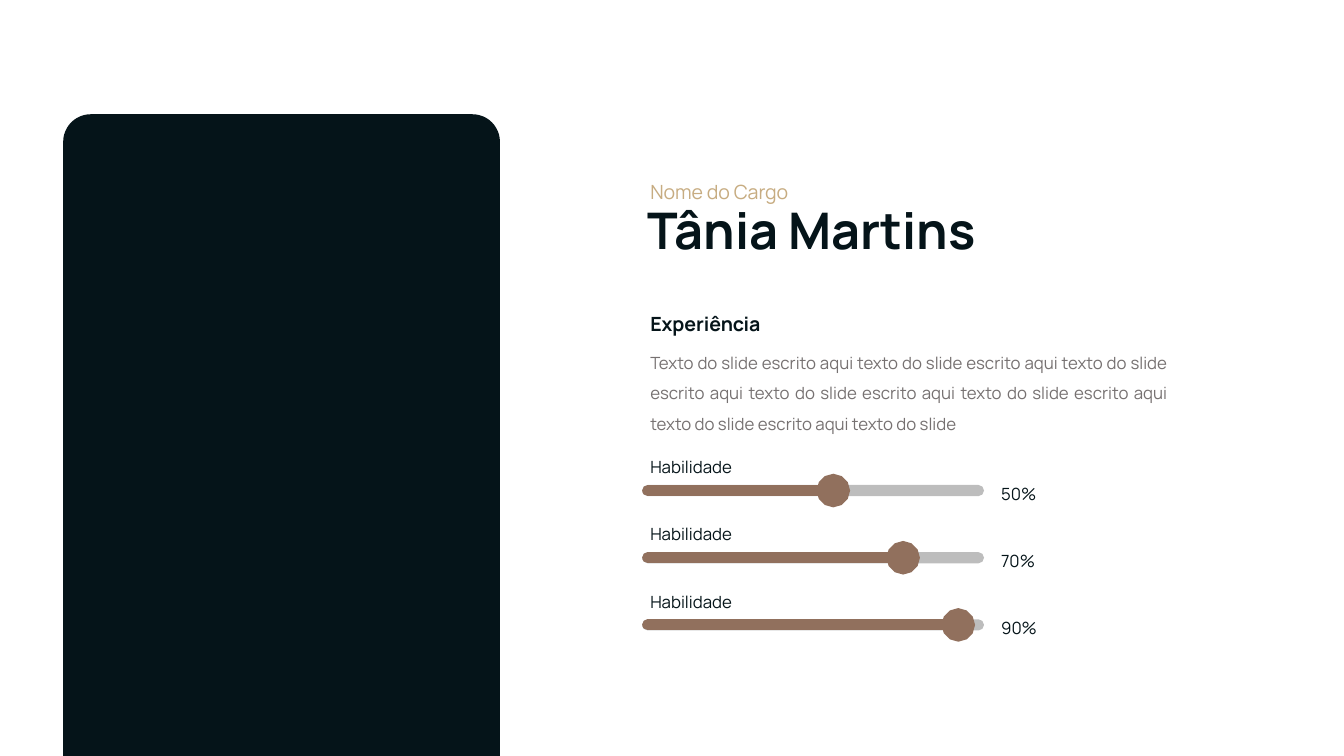
from dataclasses import dataclass

import pptx
import pptx.dml.color
import pptx.enum.shapes
import pptx.enum.text
import pptx.oxml
import pptx.oxml.ns
import pptx.util
from pptx.util import Inches

FONT = "Manrope"
DARK = "051419"
GOLD = "C7AC81"
GRAY = "767171"
BROWN = "91705D"
BLACK = "000000"

SLIDE_WIDTH = 10
SLIDE_HEIGHT = SLIDE_WIDTH * 9 / 16
CARD_TOP = 0.85
TEXT_LEFT = 4.74
TRACK_LEFT, TRACK_RIGHT = 4.82, 7.28
FIRST_SKILL_TOP, SKILL_STEP = 3.35, 0.5


@dataclass
class TextStyle:
    size: float
    color: str = DARK
    bold: bool = False
    line_spacing: float = 1.0
    alignment: pptx.enum.text.PP_ALIGN = pptx.enum.text.PP_ALIGN.LEFT


@dataclass
class Skill:
    name: str
    percent: str
    knob_x: float


SMALL = TextStyle(9)
SKILLS = [
    Skill("Habilidade", "50%", 6.2),
    Skill("Habilidade", "70%", 6.72),
    Skill("Habilidade", "90%", 7.13),
]
BODY_TEXT = ("Texto do slide escrito aqui " + "texto do slide escrito aqui " * 5
             + "texto do slide")


def rgb(color: str) -> pptx.dml.color.RGBColor:
    return pptx.dml.color.RGBColor.from_string(color)


def write_text(shape, text: str, style: TextStyle) -> None:
    frame = shape.text_frame
    frame.text = text
    frame.word_wrap = True
    frame.auto_size = pptx.enum.text.MSO_AUTO_SIZE.SHAPE_TO_FIT_TEXT
    frame.vertical_anchor = pptx.enum.text.MSO_ANCHOR.TOP
    frame.margin_left = frame.margin_right = Inches(0.1)
    frame.margin_top = frame.margin_bottom = Inches(0.05)
    paragraph = frame.paragraphs[0]
    paragraph.alignment = style.alignment
    paragraph.line_spacing = style.line_spacing
    paragraph.space_before = pptx.util.Pt(0)
    paragraph.font.name = FONT
    paragraph.font.size = pptx.util.Pt(style.size)
    paragraph.font.bold = style.bold
    paragraph.font.color.rgb = rgb(style.color)


def add_text(slide, left: float, top: float, width: float, height: float,
             text: str, style: TextStyle) -> None:
    box = slide.shapes.add_textbox(Inches(left), Inches(top), Inches(width), Inches(height))
    write_text(box, text, style)


def add_bar(slide, right: float, y: float, color: str):
    """Draw a thick horizontal line with round caps and return its a:ln element."""
    bar = slide.shapes.add_connector(
        pptx.enum.shapes.MSO_CONNECTOR.STRAIGHT,
        Inches(TRACK_LEFT), Inches(y), Inches(right), Inches(y))
    bar.line.width = pptx.util.Pt(6)
    bar.line.color.rgb = rgb(color)
    properties = bar._element.spPr
    line = properties.find(pptx.oxml.ns.qn("a:ln"))
    line.set("cap", "rnd")
    properties.append(pptx.oxml.parse_xml(
        f"<a:effectLst {pptx.oxml.ns.nsdecls('a')}/>"))
    return line


def add_skill(slide, skill: Skill, top: float) -> None:
    add_text(slide, TEXT_LEFT, top, 1.37, 0.25, skill.name, SMALL)
    add_text(slide, 7.35, top + 0.2, 0.75, 0.25, skill.percent, SMALL)
    # Translucent track
    track = add_bar(slide, TRACK_RIGHT, top + 0.3, BLACK)
    color = track.find(".//" + pptx.oxml.ns.qn("a:srgbClr"))
    color.append(pptx.oxml.parse_xml(
        f"<a:alpha {pptx.oxml.ns.nsdecls('a')} val='25000'/>"))
    # Filled part, ending in a round knob
    level = add_bar(slide, skill.knob_x, top + 0.3, BROWN)
    level.append(pptx.oxml.parse_xml(
        f"<a:tailEnd {pptx.oxml.ns.nsdecls('a')} type='oval'/>"))


def main() -> None:
    presentation = pptx.Presentation()
    presentation.slide_width = Inches(SLIDE_WIDTH)
    presentation.slide_height = Inches(SLIDE_HEIGHT)
    slide = presentation.slides.add_slide(presentation.slide_layouts[5])

    # Dark card on the left, down to the slide's bottom edge
    card = slide.shapes.add_shape(
        pptx.enum.shapes.MSO_SHAPE.ROUND_2_SAME_RECTANGLE,
        Inches(0.47), Inches(CARD_TOP), Inches(3.25), Inches(SLIDE_HEIGHT - CARD_TOP))
    card.adjustments[0] = 0.063
    card.adjustments[1] = 0
    card.shadow.inherit = False
    card.fill.solid()
    card.fill.fore_color.rgb = rgb(DARK)
    card.line.fill.background()

    # Name and position
    title = slide.shapes.title
    title.left, title.top = Inches(4.72), Inches(1.43)
    title.width, title.height = Inches(3.57), Inches(0.56)
    write_text(title, "Tânia Martins", TextStyle(27, bold=True))
    add_text(slide, TEXT_LEFT, 1.2, 1.38, 0.34, "Nome do Cargo",
             TextStyle(10.5, GOLD, line_spacing=1.5))

    # Experience
    add_text(slide, TEXT_LEFT, 2.27, 1.77, 0.28, "Experiência", TextStyle(10.5, bold=True))
    add_text(slide, TEXT_LEFT, 2.5, 4.04, 0.76, BODY_TEXT,
             TextStyle(9, GRAY, line_spacing=1.5,
                       alignment=pptx.enum.text.PP_ALIGN.JUSTIFY))

    # Skill sliders
    for index, skill in enumerate(SKILLS):
        add_skill(slide, skill, FIRST_SKILL_TOP + index * SKILL_STEP)

    presentation.save("out.pptx")


if __name__ == "__main__":
    main()
